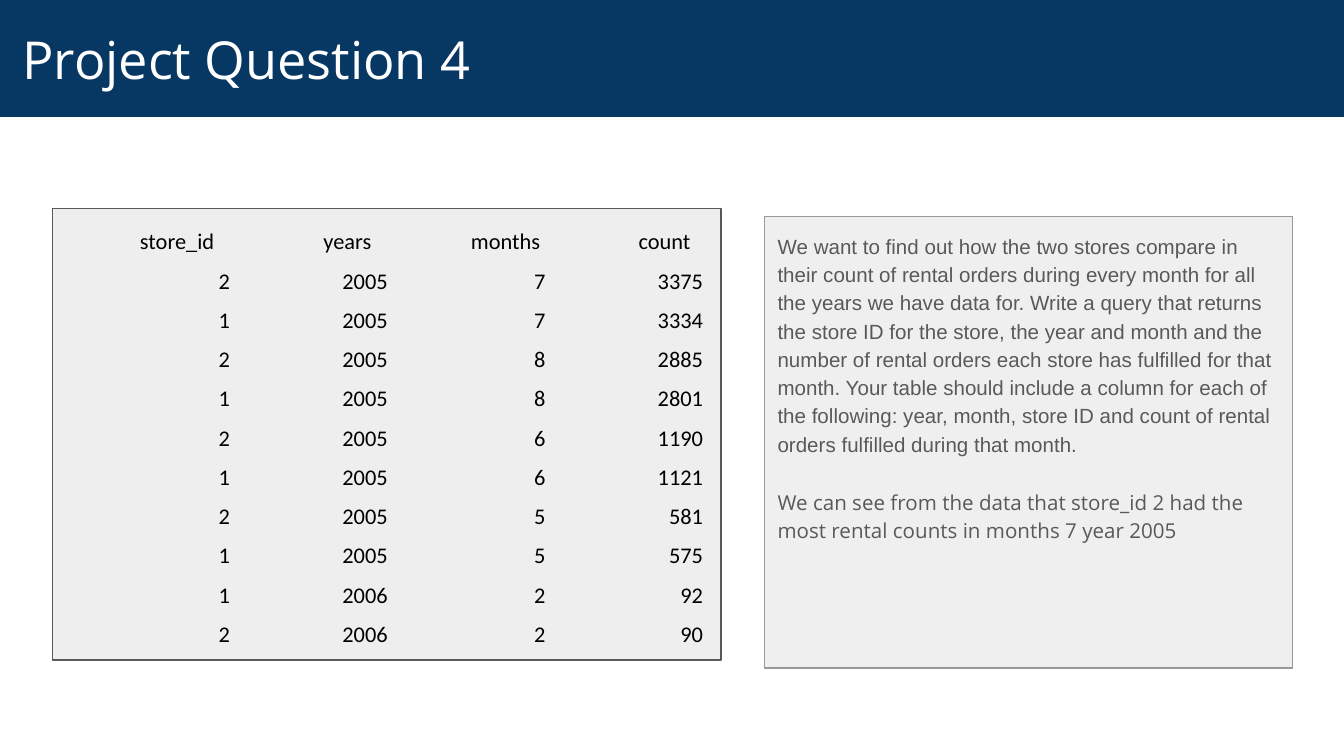
"""Builds the Project Question 4 slide: a rental count table beside its explanation."""
from pptx import Presentation
from pptx.dml.color import RGBColor
from pptx.enum.shapes import MSO_SHAPE
from pptx.enum.text import MSO_ANCHOR, MSO_AUTO_SIZE, PP_ALIGN
from pptx.util import Pt

TITLE = "Project Question 4"
NOTES = [
    ("We want to find out how the two stores compare in their count of rental orders "
     "during every month for all the years we have data for. Write a query that returns "
     "the store ID for the store, the year and month and the number of rental orders each "
     "store has fulfilled for that month. Your table should include a column for each of "
     "the following: year, month, store ID and count of rental orders fulfilled during "
     "that month.", "Arial"),
    ("We can see from the data that store_id 2 had the most rental counts in months 7 "
     "year 2005", "Open Sans"),
]
HEADERS = ["store_id", "years", "months", "count"]
HEADER_INSETS = [9.2, 9.5, 3.5, 7.5]
COUNTS = [
    (2, 2005, 7, 3375),
    (1, 2005, 7, 3334),
    (2, 2005, 8, 2885),
    (1, 2005, 8, 2801),
    (2, 2005, 6, 1190),
    (1, 2005, 6, 1121),
    (2, 2005, 5, 581),
    (1, 2005, 5, 575),
    (1, 2006, 2, 92),
    (2, 2006, 2, 90),
]
COLORS = {
    "navy": "073763", "white": "FFFFFF", "black": "000000", "text": "595959",
    "note_fill": "EFEFEF", "note_line": "999999",
    "table_fill": "EEEEEE", "table_line": "595959",
}
PLAIN_TABLE_STYLE = "{2D5ABB26-0587-4C30-8999-92F81FD0307C}"
SLIDE_WIDTH, SLIDE_HEIGHT = 720, 405
COLUMN_WIDTH, ROW_HEIGHT = 84.5, 21.05


def color(name):
    return RGBColor.from_string(COLORS[name])


def add_span(para, text, font, size, color_name):
    span = para.add_run()
    span.text = text
    span.font.name = font
    span.font.size = Pt(size)
    span.font.color.rgb = color(color_name)


def set_insets(target, left, top, right, bottom):
    target.margin_left, target.margin_top = Pt(left), Pt(top)
    target.margin_right, target.margin_bottom = Pt(right), Pt(bottom)


def add_panel(page, left, top, width, height, fill, line):
    panel = page.shapes.add_shape(
        MSO_SHAPE.RECTANGLE, Pt(left), Pt(top), Pt(width), Pt(height))
    panel.shadow.inherit = False
    panel.fill.solid()
    panel.fill.fore_color.rgb = color(fill)
    panel.line.color.rgb = color(line)
    panel.line.width = Pt(0.75)
    return panel


def add_title(page):
    title = page.shapes.title
    title.left, title.top = Pt(0), Pt(0)
    title.width, title.height = Pt(SLIDE_WIDTH), Pt(62.6)
    title.fill.solid()
    title.fill.fore_color.rgb = color("navy")
    frame = title.text_frame
    frame.auto_size = MSO_AUTO_SIZE.NONE
    frame.vertical_anchor = MSO_ANCHOR.MIDDLE
    set_insets(frame, 12, 7.2, 7.2, 7.2)
    para = frame.paragraphs[0]
    para.alignment = PP_ALIGN.LEFT
    add_span(para, TITLE, "Open Sans", 28, "white")


def add_notes(page):
    panel = add_panel(page, 409.5, 116, 283, 242, "note_fill", "note_line")
    frame = panel.text_frame
    frame.word_wrap = True
    frame.vertical_anchor = MSO_ANCHOR.TOP
    set_insets(frame, 7.2, 7.2, 7.2, 7.2)
    for index, (text, font) in enumerate(NOTES):
        para = frame.add_paragraph() if index else frame.paragraphs[0]
        para.alignment = PP_ALIGN.LEFT
        para.line_spacing = 1.15
        para.space_after = Pt(16)
        add_span(para, text, font, 11, "text")


def add_counts(page):
    add_panel(page, 28, 111.7, 358.3, 242, "table_fill", "table_line")
    rows = [HEADERS] + COUNTS
    frame = page.shapes.add_table(
        len(rows), len(HEADERS), Pt(39.5), Pt(116),
        Pt(COLUMN_WIDTH * len(HEADERS)), Pt(ROW_HEIGHT * len(rows)))
    table = frame.table
    table.first_row = table.horz_banding = False
    table._tbl.tblPr.find("{*}tableStyleId").text = PLAIN_TABLE_STYLE
    for column in table.columns:
        column.width = Pt(COLUMN_WIDTH)
    for row_index, values in enumerate(rows):
        table.rows[row_index].height = Pt(ROW_HEIGHT)
        for column_index, value in enumerate(values):
            cell = table.cell(row_index, column_index)
            cell.fill.background()
            cell.vertical_anchor = MSO_ANCHOR.BOTTOM
            right = 0.75 if row_index else HEADER_INSETS[column_index]
            set_insets(cell, 0.75, 0.75, right, 0)
            para = cell.text_frame.paragraphs[0]
            para.alignment = PP_ALIGN.RIGHT
            add_span(para, str(value), "Calibri", 12, "black")


def main():
    deck = Presentation()
    deck.slide_width, deck.slide_height = Pt(SLIDE_WIDTH), Pt(SLIDE_HEIGHT)
    page = deck.slides.add_slide(deck.slide_layouts[5])
    add_notes(page)
    add_title(page)
    add_counts(page)
    deck.save("out.pptx")


if __name__ == "__main__":
    main()
